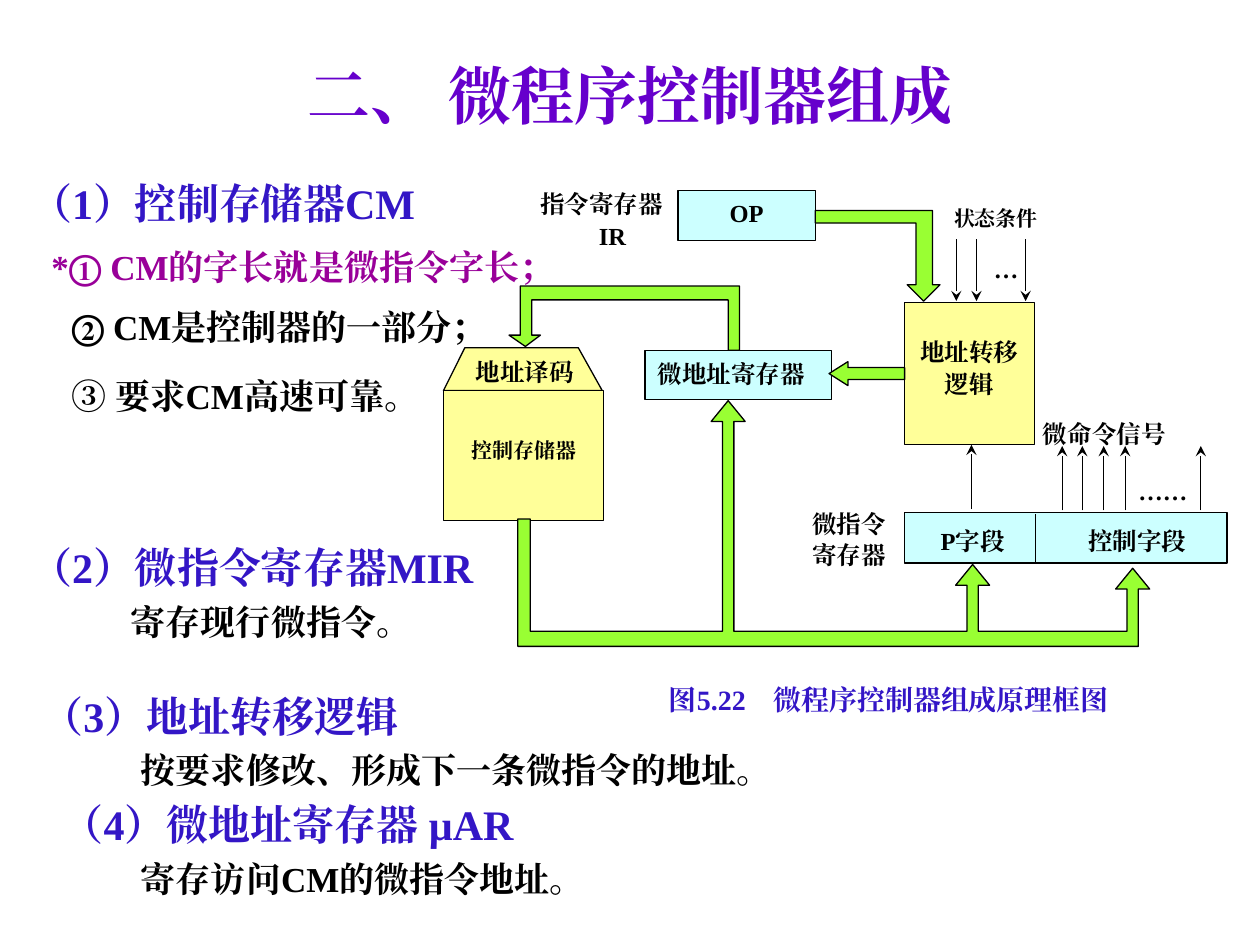
from dataclasses import dataclass

import pptx
import pptx.dml.color
import pptx.enum.shapes
import pptx.enum.text
import pptx.oxml
import pptx.oxml.ns
import pptx.util

Align = pptx.enum.text.PP_ALIGN
Preset = pptx.enum.shapes.MSO_SHAPE
COLUMNS, ROWS = 100, 75
CELL = pptx.util.Inches(0.1)


@dataclass(frozen=True)
class Theme:
    font: str = "Times New Roman"
    title: str = "6600CC"
    heading: str = "3316C6"
    accent: str = "990099"
    ink: str = "000000"
    register: str = "CCFFFF"
    unit: str = "FFFF99"
    bus: str = "99FF33"
    title_size: int = 36
    heading_size: int = 24
    body_size: int = 20
    caption_size: int = 16
    label_size: int = 14
    small_size: int = 12
    line_width: float = 0.75
    spacing: float = 1.07


THEME = Theme()


def grid(*values):
    return [pptx.util.Emu(round(value * CELL)) for value in values]


def rgb(value):
    return pptx.dml.color.RGBColor.from_string(value)


def write(box, text, size=THEME.label_size, color=THEME.ink,
          align=Align.CENTER, margins=(0, 0, 0, 0)):
    frame = box.text_frame
    frame.word_wrap = True
    frame.auto_size = pptx.enum.text.MSO_AUTO_SIZE.NONE
    frame.vertical_anchor = pptx.enum.text.MSO_ANCHOR.TOP
    (frame.margin_left, frame.margin_top,
     frame.margin_right, frame.margin_bottom) = grid(*margins)
    frame.text = text
    for para in frame.paragraphs:
        para.alignment = align
        para.line_spacing = THEME.spacing
        para.space_before = pptx.util.Pt(0)
        for span in para.runs:
            span.font.name = THEME.font
            span.font.size = pptx.util.Pt(size)
            span.font.bold = True
            span.font.color.rgb = rgb(color)
            east = pptx.oxml.parse_xml(
                f'<a:ea {pptx.oxml.ns.nsdecls("a")} typeface="{THEME.font}"/>')
            span.font._element.find(pptx.oxml.ns.qn("a:latin")).addnext(east)


def add_label(page, place, text, **style):
    box = page.shapes.add_textbox(*grid(*place))
    write(box, text, **style)


def paint(shape, fill):
    shape.shadow.inherit = False
    shape.fill.solid()
    shape.fill.fore_color.rgb = rgb(fill)
    shape.line.color.rgb = rgb(THEME.ink)
    shape.line.width = pptx.util.Pt(THEME.line_width)


def add_block(page, place, fill, text="", preset=Preset.RECTANGLE, **style):
    shape = page.shapes.add_shape(preset, *grid(*place))
    paint(shape, fill)
    if text:
        write(shape, text, **style)
    return shape


def add_outline(page, points, fill):
    start, *rest = [grid(*point) for point in points]
    builder = page.shapes.build_freeform(*start)
    builder.add_line_segments(rest, close=True)
    paint(builder.convert_to_shape(), fill)


def add_vertical(page, column, start, end, arrow=True):
    line = page.shapes.add_connector(
        pptx.enum.shapes.MSO_CONNECTOR.STRAIGHT, *grid(column, start, column, end))
    line.line.color.rgb = rgb(THEME.ink)
    line.line.width = pptx.util.Pt(THEME.line_width)
    names = pptx.oxml.ns.nsdecls("a")
    if arrow:
        line.line._get_or_add_ln().append(
            pptx.oxml.parse_xml(f'<a:tailEnd {names} type="stealth"/>'))
    line._element.spPr.append(pptx.oxml.parse_xml(f"<a:effectLst {names}/>"))


def up_branch(center, tip, trunk, shaft=0.45, wing=1.35, head=1.65):
    base = tip + head
    return [(center - shaft, trunk), (center - shaft, base), (center - wing, base),
            (center, tip), (center + wing, base), (center + shaft, base),
            (center + shaft, trunk)]


def add_title(page):
    title = page.shapes.title
    title.left, title.top, title.width, title.height = grid(7.5, 3.6, 85, 8)
    write(title, "二、 微程序控制器组成", size=THEME.title_size, color=THEME.title,
          margins=(1, 0.5, 1, 0.5))


def add_outline_text(page):
    headings = [
        (1.4, 13.3, "（1）控制存储器CM"),
        (1.4, 42.2, "（2）微指令寄存器MIR"),
        (2.3, 54, "（3）地址转移逻辑"),
        (3.9, 62.6, "（4）微地址寄存器 μAR"),
    ]
    details = [
        (3.1, 18.8, "*① CM的字长就是微指令字长；", THEME.accent),
        (4.7, 23.5, "② CM是控制器的一部分；", THEME.ink),
        (4.7, 29, "③ 要求CM高速可靠。", THEME.ink),
        (9.4, 46.9, "寄存现行微指令。", THEME.ink),
        (10.2, 58.7, "按要求修改、形成下一条微指令的地址。", THEME.ink),
        (10.2, 67.3, "寄存访问CM的微指令地址。", THEME.ink),
    ]
    entries = [(*heading, THEME.heading, THEME.heading_size, 6) for heading in headings]
    entries += [(*detail, THEME.body_size, 5) for detail in details]
    for column, row, text, color, size, height in entries:
        add_label(page, (column, row, 60, height), text, size=size, color=color,
                  align=Align.LEFT, margins=(1, 0.5, 1, 0.5))


def add_units(page):
    inset = (1, 0.5, 1, 0.5)
    add_block(page, (71.8, 40.7, 25.6, 4), THEME.register)
    add_vertical(page, 82.2, 40.8, 44.7, arrow=False)
    add_block(page, (71.8, 24, 10.3, 11.3), THEME.unit, "地址转移\n逻辑",
              margins=(1, 2.6, 1, 0.5))
    add_block(page, (53.8, 15.1, 10.9, 4), THEME.register, "OP", margins=inset)
    add_block(page, (51.2, 27.8, 14.8, 3.9), THEME.register, "微地址寄存器",
              align=Align.LEFT, margins=inset)
    add_outline(page, [(36.9, 27.6), (45.9, 27.6), (47.8, 31), (35.2, 31)], THEME.unit)
    add_block(page, (35.2, 31, 12.7, 10.3), THEME.unit, "控制存储器",
              size=THEME.small_size, align=Align.LEFT, margins=(2.2, 3.6, 0, 0))


def add_labels(page):
    labels = [
        (37.2, 28.2, 8.9, 2.7, "地址译码"),
        (72.9, 41.6, 8.6, 2.8, "P字段"),
        (84.8, 41.6, 10.9, 2.8, "控制字段"),
        (89.1, 37.6, 6.4, 2.8, "……"),
        (82.2, 33.1, 10.9, 2.8, "微命令信号"),
        (42.3, 14.8, 10.9, 2.8, "指令寄存器"),
        (45.8, 17.4, 3.9, 3, "IR"),
        (78.7, 20, 2.3, 2.8, "…"),
        (63.8, 40.2, 6.5, 5.5, "微指令\n寄存器"),
    ]
    right = ("IR", "微指令\n寄存器")
    for *place, text in labels:
        add_label(page, place, text, align=Align.RIGHT if text in right else Align.CENTER)
    add_label(page, (75, 16.2, 8.1, 2.5), "状态条件", size=THEME.small_size)
    add_label(page, (50.9, 54, 39.3, 4.1), "图5.22　微程序控制器组成原理框图",
              size=THEME.caption_size, color=THEME.heading)


def add_signals(page):
    for column in (84.3, 85.9, 87.6, 89.3, 95.3):
        add_vertical(page, column, 40.5, 35.4)
    add_vertical(page, 77.1, 40.4, 35.3)
    for column in (75.9, 77.5, 81.4):
        add_vertical(page, column, 19, 23.9)


def add_buses(page):
    arrow = add_block(page, (65.8, 28.7, 6, 1.9), THEME.bus, preset=Preset.LEFT_ARROW)
    arrow.adjustments[0], arrow.adjustments[1] = 0.5, 0.79
    add_outline(page, [(73.3, 23.9), (72, 22.6), (72.7, 22.6), (72.7, 17.7), (64.7, 17.7),
                       (64.7, 16.7), (74, 16.7), (74, 22.6), (74.6, 22.6)], THEME.bus)
    add_outline(page, [(57.8, 27.8), (57.8, 23.8), (42.2, 23.8), (42.2, 26.6),
                       (42.9, 26.6), (41.7, 27.5), (40.4, 26.6), (41.3, 26.6),
                       (41.3, 22.7), (58.7, 22.7), (58.7, 27.8)], THEME.bus)
    trunk, floor = 50.1, 51.3
    branches = [up_branch(center, tip, trunk)
                for center, tip in ((57.8, 31.8), (77.2, 44.8), (89.9, 45.1))]
    last = branches[-1].pop()
    add_outline(page, [(42.1, 41.2), (42.1, trunk), *sum(branches, []),
                       (last[0], floor), (41.1, floor), (41.1, 41.2)], THEME.bus)


def main():
    deck = pptx.Presentation()
    deck.slide_width, deck.slide_height = grid(COLUMNS, ROWS)
    page = deck.slides.add_slide(deck.slide_layouts[5])
    add_title(page)
    add_units(page)
    add_labels(page)
    add_signals(page)
    add_buses(page)
    add_outline_text(page)
    deck.save("out.pptx")


if __name__ == "__main__":
    main()
